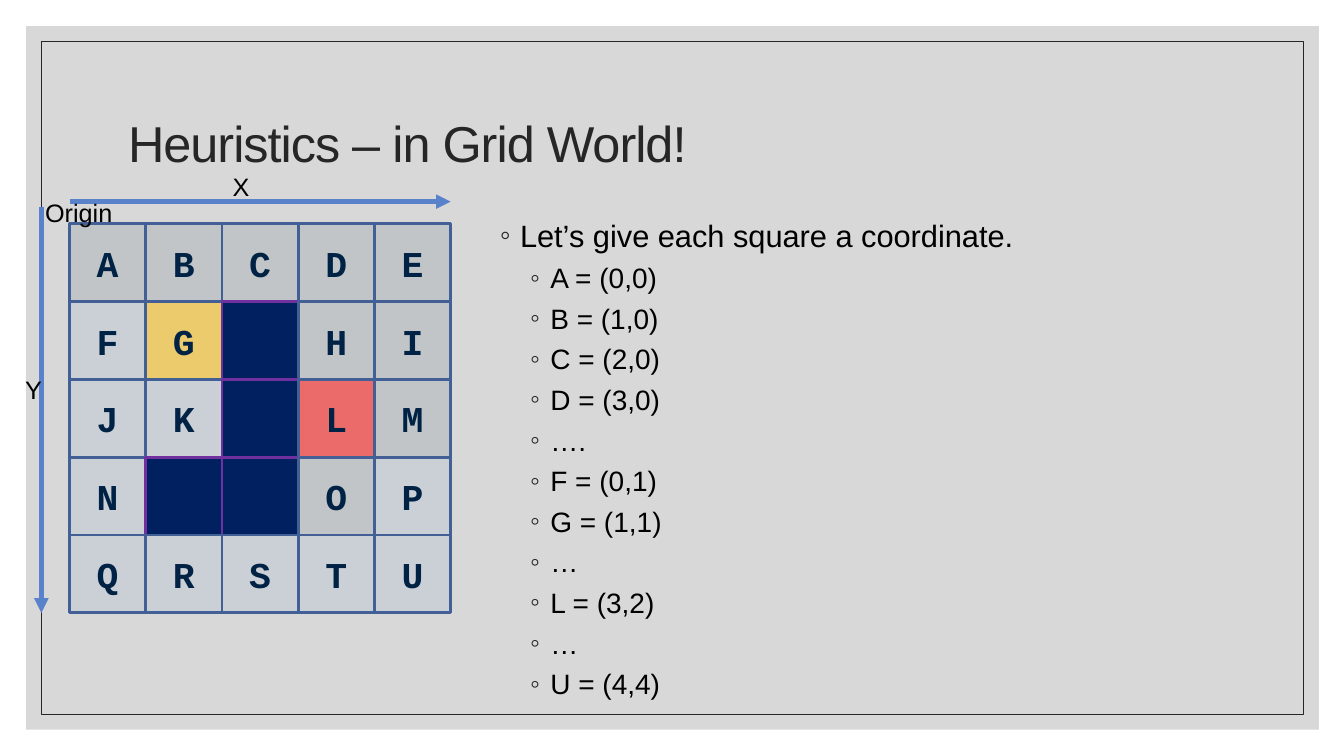
from lxml.etree import SubElement
from pptx import Presentation
from pptx.dml.color import RGBColor
from pptx.enum.shapes import MSO_CONNECTOR as CONN, MSO_SHAPE as SHAPE
from pptx.enum.text import MSO_ANCHOR as ANCHOR, MSO_AUTO_SIZE as AUTO, PP_ALIGN as ALIGN
from pptx.oxml.ns import qn
from pptx.util import Inches, Pt

TITLE = "Heuristics – in Grid World!"
INTRO = "Let’s give each square a coordinate."
COORDINATES = ["A = (0,0)", "B = (1,0)", "C = (2,0)", "D = (3,0)", "….", "F = (0,1)",
               "G = (1,1)", "…", "L = (3,2)", "…", "U = (4,4)"]
GRID = ["ABCDE", "FG#HI", "JK#LM", "N##OP", "QRSTU"]
VISITED = "ABCDEHIMO"
SPECIAL = {"G": ("FFC000", 50), "L": ("FF0000", 50), "#": ("002060", 100)}
VISITED_FILL, OPEN_FILL = ("002244", 10), ("5A82CB", 10)
GRID_LEFT, GRID_TOP, GRID_W, GRID_H = 0.69, 2.22, 3.78, 3.86
AXES = [
    ((0.69, 2, 4.47, 2), "X", (2.21, 1.65, 0.37, 0.4)),
    ((0.41, 2.05, 0.41, 6.08), "Y", (0.15, 3.66, 0.37, 0.4)),
]
ORIGIN = ("Origin", (0.35, 1.91, 1.03, 0.4))
LABEL = {"name": "Arial", "size": Pt(18)}
CELL_FONT = {"name": "Courier New", "size": Pt(26), "bold": True}


def color(value):
    return RGBColor.from_string(value)


def inches(values):
    return [Inches(v) for v in values]


def style(font, fmt, rgb="000000"):
    for name, value in fmt.items():
        setattr(font, name, value)
    font.color.rgb = color(rgb)


def rect(shapes, box, fill=None, alpha=100, line=None, width=0):
    sp = shapes.add_shape(SHAPE.RECTANGLE, *inches(box))
    sp.shadow.inherit = False
    if fill:
        sp.fill.solid()
        sp.fill.fore_color.rgb = color(fill)
        if alpha < 100:
            clr = sp.fill._xPr.find(".//" + qn("a:srgbClr"))
            SubElement(clr, qn("a:alpha"), val=str(alpha * 1000))
    else:
        sp.fill.background()
    if line:
        sp.line.color.rgb = color(line)
        sp.line.width = Pt(width)
    else:
        sp.line.fill.background()
    return sp


def label(s, text, box):
    tf = s.shapes.add_textbox(*inches(box)).text_frame
    tf.word_wrap = True
    tf.auto_size = AUTO.SHAPE_TO_FIT_TEXT
    r = tf.paragraphs[0].add_run()
    r.text = text
    style(r.font, LABEL)


def arrow(s, ends):
    c = s.shapes.add_connector(CONN.STRAIGHT, *inches(ends))
    c.line.color.rgb = color("5A82CB")
    c.line.width = Pt(3.5)
    SubElement(c.line._get_or_add_ln(), qn("a:tailEnd"), type="triangle")
    SubElement(c._element.spPr, qn("a:effectLst"))


def bullet(p, text, size, indent, before):
    pPr = p._p.get_or_add_pPr()
    pPr.set("marL", str(Inches(indent)))
    pPr.set("indent", str(Inches(-0.2)))
    SubElement(SubElement(pPr, qn("a:buClr")), qn("a:srgbClr"), val="262626")
    SubElement(pPr, qn("a:buFont"), typeface="Arial")
    SubElement(pPr, qn("a:buChar"), char="◦")
    p.line_spacing = 1.0
    p.space_before = Pt(before)
    r = p.add_run()
    r.text = text
    style(r.font, {"name": "Arial", "size": Pt(size)})


def add_title(s):
    title = s.shapes.title
    title.left, title.top, title.width, title.height = inches((1.17, 0.7, 11, 1.5))
    tf = title.text_frame
    tf.vertical_anchor = ANCHOR.MIDDLE
    p = tf.paragraphs[0]
    p.alignment = ALIGN.LEFT
    p.line_spacing = 0.9
    r = p.add_run()
    r.text = TITLE
    style(r.font, {"name": "Arial", "size": Pt(36)}, "262626")
    r._r.get_or_add_rPr().set("spc", "-70")


def add_list(s):
    tf = s.shapes.add_textbox(*inches((4.86, 2.04, 7.03, 5.09))).text_frame
    tf.word_wrap = True
    tf.margin_top = Inches(0.11)
    bullet(tf.paragraphs[0], INTRO, 22, 0.2, 0)
    for text in COORDINATES:
        p = tf.add_paragraph()
        p.level = 1
        bullet(p, text, 20, 0.5, 5)


def add_grid(s):
    group = s.shapes.add_group_shape()
    w, h = GRID_W / len(GRID[0]), GRID_H / len(GRID)
    for row, letters in enumerate(GRID):
        for col, letter in enumerate(letters):
            fill, alpha = SPECIAL.get(letter, VISITED_FILL if letter in VISITED else OPEN_FILL)
            wall = letter == "#"
            box = (GRID_LEFT + col * w, GRID_TOP + row * h, w, h)
            cell = rect(group.shapes, box, fill, alpha, "7030A0" if wall else "436096", 2)
            if wall:
                continue
            cell.text_frame.vertical_anchor = ANCHOR.MIDDLE
            p = cell.text_frame.paragraphs[0]
            p.alignment = ALIGN.CENTER
            r = p.add_run()
            r.text = letter
            style(r.font, CELL_FONT, "002244")


def main():
    prs = Presentation()
    prs.slide_width, prs.slide_height = inches((13.33, 7.5))
    s = prs.slides.add_slide(prs.slide_layouts[5])
    panel = rect(s.shapes, (0.26, 0.26, 12.82, 6.98), "BFBFBF", 60)
    frame = rect(s.shapes, (0.41, 0.41, 12.52, 6.68), line="262626", width=0.5)
    for sp in (frame, panel):
        s.shapes._spTree.insert(2, sp._element)
    add_title(s)
    add_list(s)
    add_grid(s)
    for ends, name, box in AXES:
        arrow(s, ends)
        label(s, name, box)
    label(s, *ORIGIN)
    prs.save("out.pptx")


if __name__ == "__main__":
    main()
